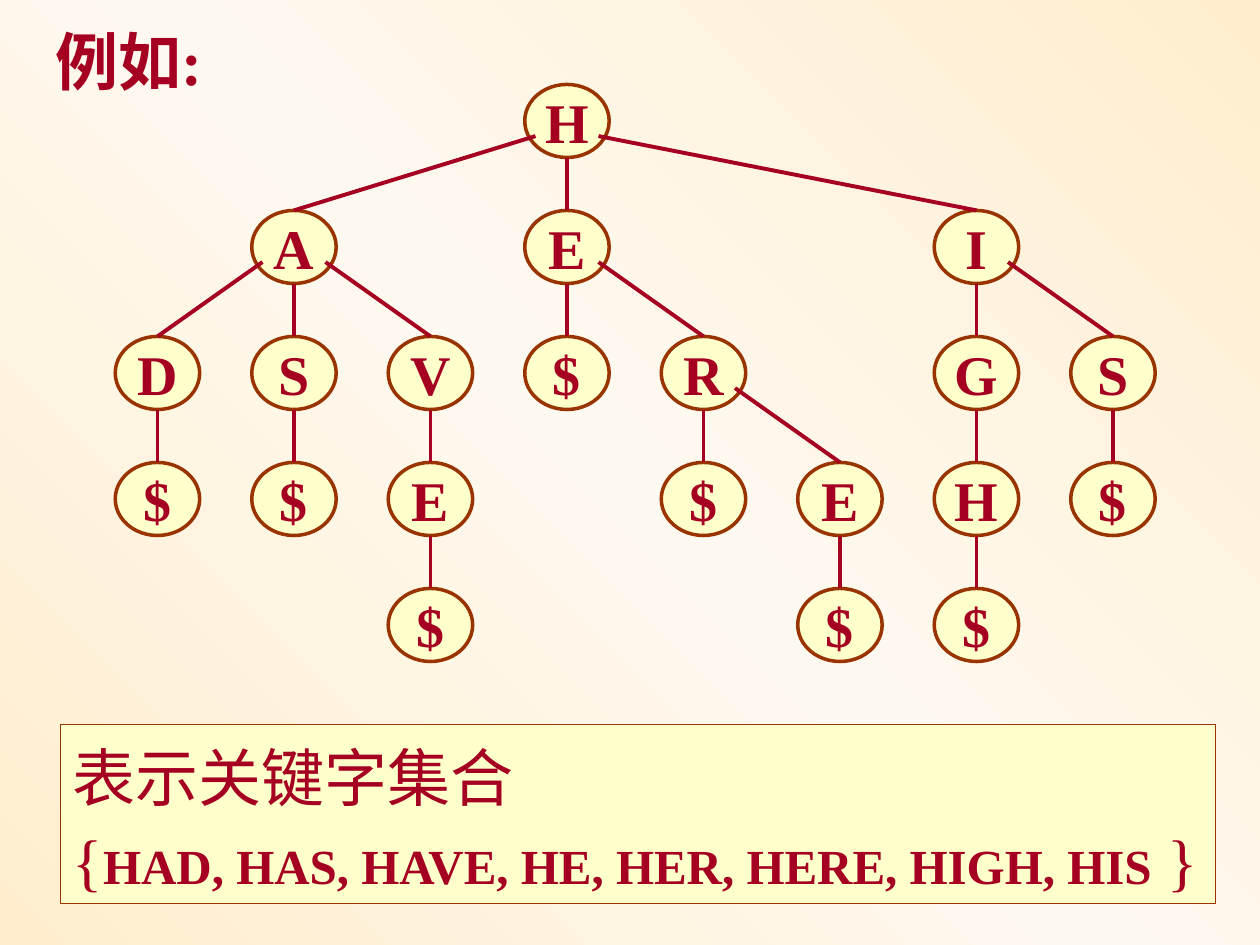
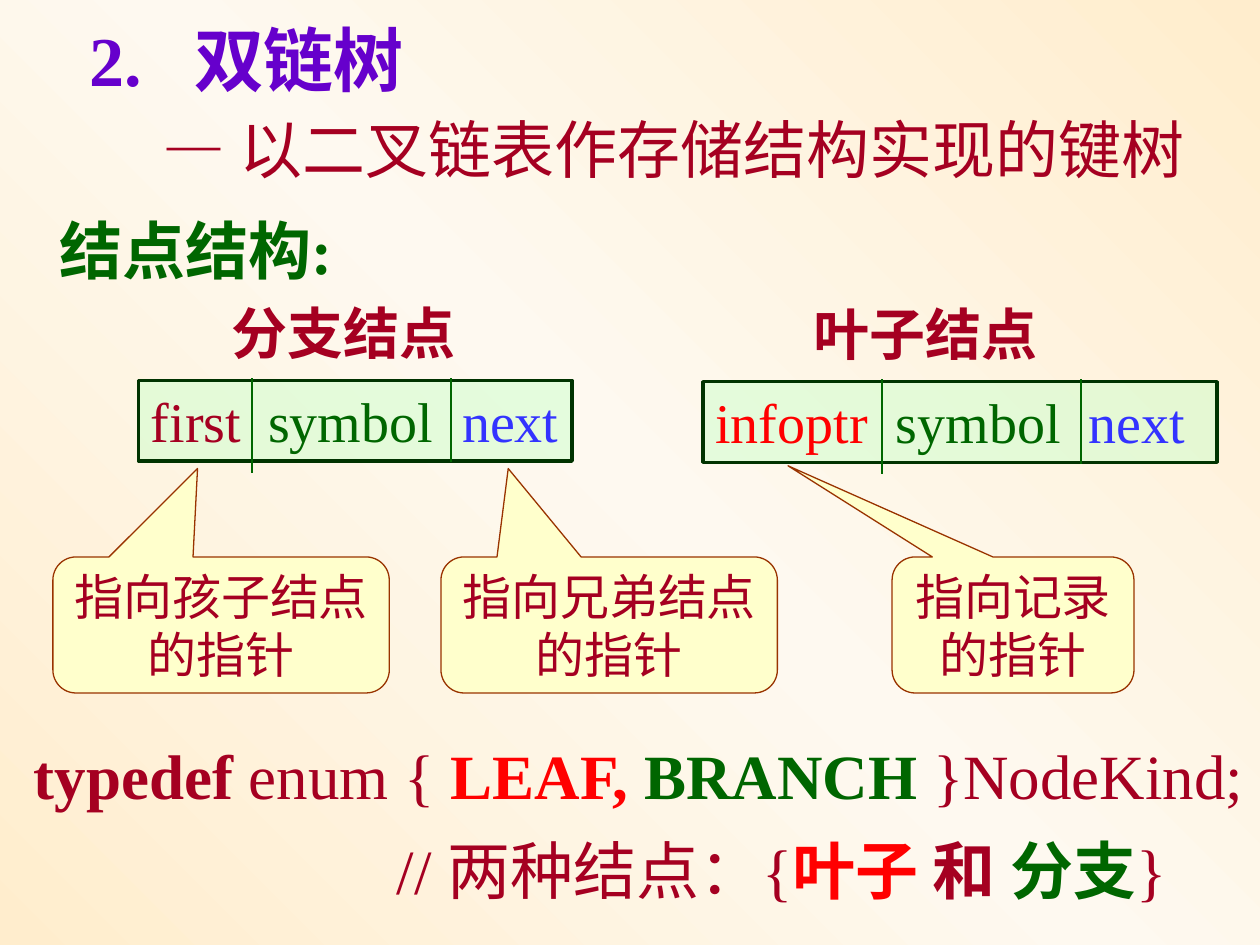
"""Build two slides about key trees and their doubly linked storage."""
from copy import deepcopy

from lxml import etree
from pptx import Presentation
from pptx.dml.color import RGBColor
from pptx.enum import shapes, text
from pptx.oxml.ns import qn
from pptx.util import Inches, Pt

FONT = "Times New Roman"
RED, BROWN, CREAM = "A50021", "993300", "FFFFCC"
GREEN, PINE, MINT = "006600", "003300", "CCFFCC"
SCARLET, BLUE, PURPLE = "FF0000", "3333FF", "6600CC"
BACKDROP = [(0, "FFEDCD"), (0.5, "FEF9F0"), (1, "FFEDCD")]

LEFT, CENTER = text.PP_ALIGN.LEFT, text.PP_ALIGN.CENTER
TOP, MIDDLE = text.MSO_ANCHOR.TOP, text.MSO_ANCHOR.MIDDLE
SHAPE = shapes.MSO_SHAPE

# Each node is (letter, column, children).
KEY_TREE = ("H", 3, [
    ("A", 1, [
        ("D", 0, [("$", 0, [])]),
        ("S", 1, [("$", 1, [])]),
        ("V", 2, [("E", 2, [("$", 2, [])])]),
    ]),
    ("E", 3, [
        ("$", 3, []),
        ("R", 4, [("$", 4, []), ("E", 5, [("$", 5, [])])]),
    ]),
    ("I", 6, [
        ("G", 6, [("H", 6, [("$", 6, [])])]),
        ("S", 7, [("$", 7, [])]),
    ]),
])
FIRST_CENTER, COLUMN_STEP, FIRST_TOP = 1.25, 13 / 12, 0.67
NODE_WIDTH, NODE_HEIGHT = 0.67, 0.58

# Each paragraph is a list of (text, size, colour, bold) spans.
KEY_SET = [
    [("表示关键字集合", 36, RED, False)],
    [("{", 36, RED, False),
     ("HAD, HAS, HAVE, HE, HER, HERE, HIGH, HIS", 28, RED, True),
     (" }", 36, RED, False)],
]
NODE_KINDS = [
    [("typedef", 36, RED, True), (" enum { ", 36, RED, False),
     ("LEAF, ", 36, SCARLET, True), ("BRANCH", 36, GREEN, True),
     (" }NodeKind;", 36, RED, False)],
    [("// 两种结点：{", 36, RED, False), ("叶子 ", 36, SCARLET, True),
     ("和 ", 36, RED, True), ("分支", 36, GREEN, True),
     ("}", 36, RED, False)],
]
LABELS = [
    ("— 以二叉链表作存储结构实现的键树", (1.19, 0.83, 8.45, 0.7), 36, RED, False),
    ("结点结构:", (0.37, 1.63, 2.48, 0.7), 36, GREEN, True),
    ("分支结点", (1.74, 2.32, 1.98, 0.64), 32, RED, True),
    ("叶子结点", (6.36, 2.33, 1.98, 0.64), 32, RED, True),
]
RECORDS = [
    {"pointer": ("first", RED), "at": (1.1, 3.02, 3.44, 0.64),
     "dividers": (2, 3.58), "tabs": (0.93, 2.47)},
    {"pointer": ("infoptr", SCARLET), "at": (5.58, 3.03, 4.08, 0.64),
     "dividers": (7, 8.58), "tabs": (1.43, 2.96)},
]
CALLOUTS = [
    ("指向孩子结点", 0.42, 2.67, (-0.07, -1.15)),
    ("指向兄弟结点", 3.5, 2.67, (-0.3, -1.15)),
    ("指向记录", 7.08, 1.92, (-0.93, -1.17)),
]


def colour(value):
    return RGBColor.from_string(value)


def set_all(target, values):
    for name, value in values.items():
        setattr(target, name, value)


def write(box, paragraphs, align=LEFT, anchor=TOP, wrap=False, spacing=1.0, tabs=()):
    frame = box.text_frame
    set_all(frame, {"word_wrap": wrap, "vertical_anchor": anchor,
                    "auto_size": text.MSO_AUTO_SIZE.NONE,
                    "margin_left": Inches(0.1), "margin_right": Inches(0.1),
                    "margin_top": Inches(0.05), "margin_bottom": Inches(0.05)})
    for index, spans in enumerate(paragraphs):
        para = frame.add_paragraph() if index else frame.paragraphs[0]
        set_all(para, {"alignment": align, "line_spacing": spacing})
        if tabs:
            stops = etree.SubElement(para._p.get_or_add_pPr(), qn("a:tabLst"))
            for stop in tabs:
                etree.SubElement(stops, qn("a:tab"), pos=str(Inches(stop)), algn="l")
        for words, size, shade, bold in spans:
            span = para.add_run()
            span.text = words
            set_all(span.font, {"name": FONT, "size": Pt(size), "bold": bold})
            span.font.color.rgb = colour(shade)


def add_title(deck, at, spans, tabs=()):
    page = deck.slides.add_slide(deck.slide_layouts[5])
    title = page.shapes.title
    set_all(title, dict(zip(("left", "top", "width", "height"), map(Inches, at))))
    write(title, [spans], wrap=True, tabs=tabs)
    return page


def add_label(page, at, paragraphs, **layout):
    box = page.shapes.add_textbox(*map(Inches, at))
    write(box, paragraphs, **layout)
    return box


def add_box(canvas, kind, at, paragraphs, fill=CREAM, line=BROWN, weight=0.75, **layout):
    box = canvas.shapes.add_shape(kind, *map(Inches, at))
    box.shadow.inherit = False
    box.fill.solid()
    box.fill.fore_color.rgb = colour(fill)
    box.line.color.rgb = colour(line)
    box.line.width = Pt(weight)
    write(box, paragraphs, **layout)
    return box


def add_line(canvas, start, end, shade, weight):
    line = canvas.shapes.add_connector(
        shapes.MSO_CONNECTOR.STRAIGHT, *map(Inches, (*start, *end)))
    line.line.color.rgb = colour(shade)
    line.line.width = Pt(weight)
    etree.SubElement(line._element.spPr, qn("a:effectLst"))


def paint_backdrop(master):
    fill = master.background.fill
    fill.gradient()
    fill.gradient_angle = 225
    stop_list = master.element.find(".//" + qn("p:bg")).find(".//" + qn("a:gsLst"))
    stop_list.append(deepcopy(stop_list[0]))
    for stop, (position, shade) in zip(fill.gradient_stops, BACKDROP):
        stop.position = position
        stop.color.rgb = colour(shade)


def walk(node, row=0, parent=None):
    letter, column, children = node
    center, top = FIRST_CENTER + column * COLUMN_STEP, FIRST_TOP + row
    yield letter, center, top, parent
    for child in children:
        yield from walk(child, row + 1, (center, top))


def add_tree(page):
    nodes = list(walk(KEY_TREE))
    for letter, center, top, _ in nodes:
        at = (center - NODE_WIDTH / 2, top, NODE_WIDTH, NODE_HEIGHT)
        add_box(page, SHAPE.OVAL, at, [[(letter, 32, RED, True)]],
                weight=2, align=CENTER, anchor=MIDDLE)
    for _, center, top, parent in nodes[1:]:
        parent_center, parent_top = parent
        side = (center > parent_center) - (center < parent_center)
        drop = 0.41 if side else NODE_HEIGHT
        start = (parent_center + side * 0.25, parent_top + drop)
        add_line(page, start, (center, top), RED, 2.25)


def add_record(page, record):
    group = page.shapes.add_group_shape()
    name, shade = record["pointer"]
    fields = [(name, 32, shade, False), ("\tsymbol", 32, GREEN, False),
              ("\tnext", 32, BLUE, False)]
    box = add_box(group, SHAPE.RECTANGLE, record["at"], [fields], fill=MINT,
                  line=PINE, weight=2, wrap=True, tabs=record["tabs"])
    tint = box._element.spPr.find(qn("a:solidFill"))[0]
    etree.SubElement(tint, qn("a:alpha"), val="50000")
    top = record["at"][1] - 0.02
    for left, length in zip(record["dividers"], (0.75, 0.67)):
        add_line(group, (left, top), (left, top + length), GREEN, 0.75)


def build_example(deck):
    page = add_title(deck, (0.34, 0.13, 1.8, 0.7), [("例如:", 36, RED, True)])
    add_tree(page)
    add_box(page, SHAPE.RECTANGLE, (0.48, 5.75, 9.17, 1.42), KEY_SET, spacing=1.1)


def build_linked_tree(deck):
    page = add_title(deck, (0.61, 0.08, 3.2, 0.77),
                     [("2.\t双链树", 40, PURPLE, True)], tabs=(0.83,))
    for words, at, *style in LABELS:
        add_label(page, at, [[(words, *style)]])
    kinds = add_label(page, (0.17, 5.65, 9.97, 1.6), NODE_KINDS, spacing=1.25)
    comment = kinds.text_frame.paragraphs[1]
    comment._p.get_or_add_pPr().set("marL", str(Inches(2.88)))
    for record in RECORDS:
        add_record(page, record)
    for words, left, width, tip in CALLOUTS:
        lines = [[(line, 28, RED, False)] for line in (words, "的指针")]
        callout = add_box(page, SHAPE.ROUNDED_RECTANGULAR_CALLOUT,
                          (left, 4.42, width, 1.08), lines,
                          align=CENTER, anchor=MIDDLE)
        for index, value in enumerate((*tip, 0.17)):
            callout.adjustments[index] = value


def main():
    deck = Presentation()
    set_all(deck, {"slide_width": Inches(10), "slide_height": Inches(7.5)})
    paint_backdrop(deck.slide_master)
    build_example(deck)
    build_linked_tree(deck)
    deck.save("out.pptx")


if __name__ == "__main__":
    main()
